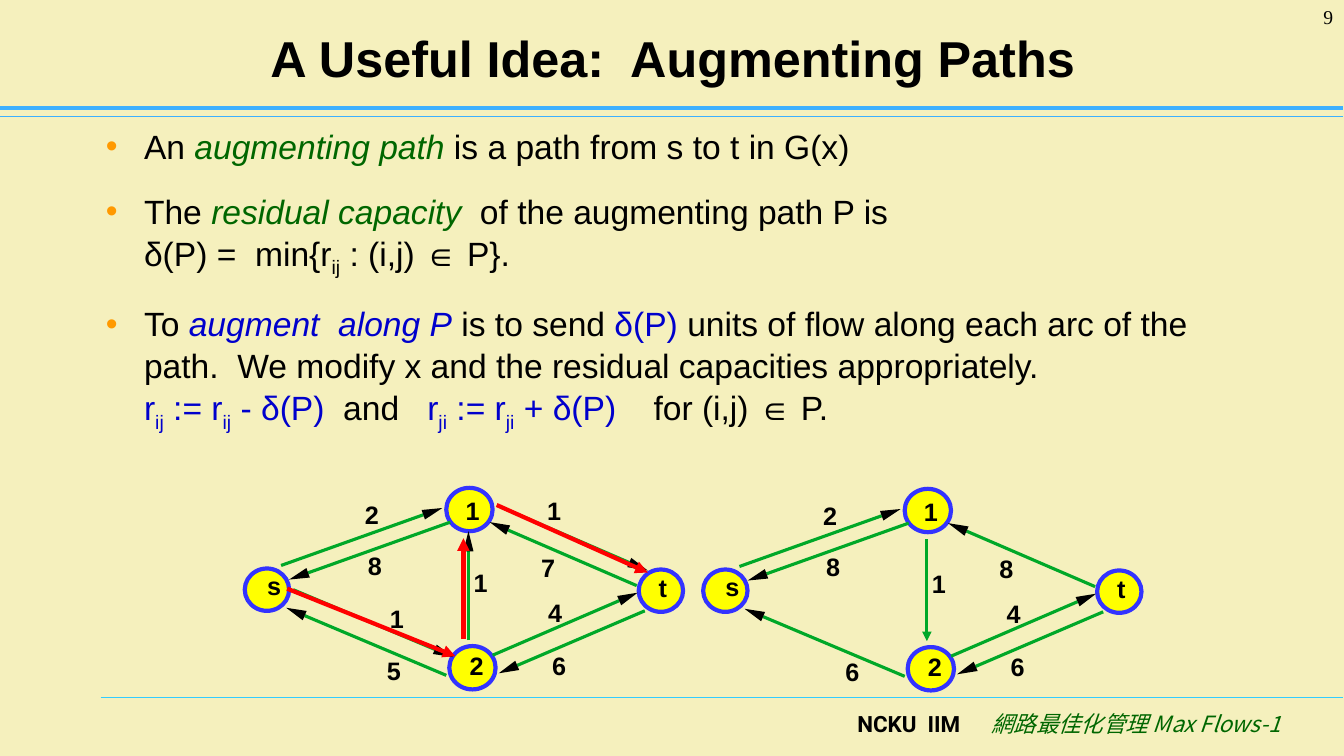
from math import hypot
from lxml.etree import SubElement
from pptx import Presentation
from pptx.dml.color import RGBColor
from pptx.enum.shapes import MSO_CONNECTOR, MSO_SHAPE
from pptx.enum.text import MSO_ANCHOR, MSO_AUTO_SIZE, PP_ALIGN
from pptx.oxml.ns import qn
from pptx.util import Inches, Pt

GREEN, BLUE, RED, ARC = "006600", "0000CC", "FF0000", "00A828"
color = RGBColor.from_string


def write(para, text, size=24, face="Arial", ink="000000", bold=False, slant=False, base=0):
    """Append text to a paragraph; a newline becomes a line break."""
    for i, part in enumerate(text.split("\n")):
        if i:
            para.add_line_break()
            SubElement(para._p[-1], qn("a:rPr"), sz=str(size * 100))
        if not part:
            continue
        run = para.add_run()
        run.text = part
        font = run.font
        font.size, font.name, font.bold, font.italic = Pt(size), face, bold, slant
        font.color.rgb = color(ink)
        SubElement(run._r.rPr, qn("a:ea"), typeface=face)
        if base:
            run._r.rPr.set("baseline", str(base * 1000))


def line(shapes, start, end, ink, width, arrow=False):
    link = shapes.add_connector(MSO_CONNECTOR.STRAIGHT, *map(Inches, (*start, *end)))
    link.line.color.rgb = color(ink)
    link.line.width = Pt(width)
    if arrow:
        SubElement(link.line._get_or_add_ln(), qn("a:tailEnd"), type="triangle")
    SubElement(link._element.spPr, qn("a:effectLst"))


deck = Presentation()
deck.slide_width, deck.slide_height = Inches(13.34), Inches(7.5)
slide = deck.slides.add_slide(deck.slide_layouts[1])
slide.background.fill.solid()
slide.background.fill.fore_color.rgb = color("F5F0BD")

# Rules above the body and the footer
line(slide.shapes, (1, 6.92), (13.33, 6.92), "33CCFF", 0.75)
line(slide.shapes, (0, 1.16), (13.33, 1.16), "3DB0FF", 0.75)
line(slide.shapes, (0, 1.07), (13.33, 1.07), "3DB0FF", 2.5)

# Title
title = slide.shapes.title
title.left, title.top, title.width, title.height = map(Inches, (0.68, 0.13, 12, 0.87))
title.text_frame.vertical_anchor = MSO_ANCHOR.MIDDLE
title.text_frame.auto_size = MSO_AUTO_SIZE.NONE
head = title.text_frame.paragraphs[0]
head.alignment = PP_ALIGN.CENTER
write(head, "A Useful Idea:  Augmenting Paths", size=36, bold=True)

# Bullet list
green, blue = dict(ink=GREEN, slant=True), dict(ink=BLUE)
plain, sub, low = {}, dict(base=-25), dict(ink=BLUE, base=-25)
points = [
    [("An ", plain), ("augmenting path", green), (" is a path from s to t in G(x)", plain)],
    [("The ", plain), ("residual capacity", green),
     ("  of the augmenting path P is \nδ(P) =  min{r", plain), ("ij", sub),
     (" : (i,j) ∈ P}.", plain)],
    [("To ", plain), ("augment  along P", dict(ink=BLUE, slant=True)),
     (" is to send ", plain), ("δ(P)", blue),
     (" units of flow along each arc of the path.  We modify x and the residual "
      "capacities appropriately.\n", plain),
     ("r", blue), ("ij", low), (" := r", blue), ("ij", low), (" - δ(P)", blue),
     ("  and   ", plain),
     ("r", blue), ("ji", low), (" := r", blue), ("ji", low), (" + δ(P)", blue),
     ("    for (i,j) ∈ P.", plain)],
]
body = slide.placeholders[1]
body.left, body.top, body.width, body.height = map(Inches, (0.95, 1.18, 11.67, 3.7))
frame = body.text_frame
frame.auto_size = MSO_AUTO_SIZE.NONE
for i, point in enumerate(points):
    para = frame.add_paragraph() if i else frame.paragraphs[0]
    para.space_before, para.space_after = Pt(6 if i else 0), Pt(10.5)
    para.line_spacing = 1.04
    props = para._p.get_or_add_pPr()
    props.set("marL", str(Inches(0.38)))
    props.set("indent", str(-Inches(0.38)))
    SubElement(SubElement(props, qn("a:buClr")), qn("a:srgbClr"), val="FF9900")
    SubElement(props, qn("a:buFont"), typeface="Arial")
    SubElement(props, qn("a:buChar"), char="•")
    for text, style in point:
        write(para, text, **style)

# Page number and footer, each set flush right
for spot, text, style in [
    ((12.22, 0, 1.11, 0.5), "9", dict(size=14, face="Times New Roman")),
    ((7.63, 7, 2, 0.5), "NCKU  IIM", dict(size=16, face="Roboto", bold=True)),
    ((9.31, 7, 3.5, 0.5), "網路最佳化管理 Max Flows-1",
     dict(size=16, face="Noto Sans CJK SC", ink=GREEN, slant=True)),
]:
    frame = slide.shapes.add_textbox(*map(Inches, spot)).text_frame
    frame.word_wrap = True
    frame.paragraphs[0].alignment = PP_ALIGN.RIGHT
    write(frame.paragraphs[0], text, **style)

# Node: name, oval, label corner
nodes = [
    ("s", (2.43, 5.64, 0.44, 0.42), (2.65, 5.66)),
    ("1", (4.43, 4.84, 0.46, 0.43), (4.62, 4.91)),
    ("2", (4.46, 6.41, 0.46, 0.43), (4.66, 6.45)),
    ("t", (6.34, 5.65, 0.44, 0.42), (6.51, 5.68)),
]
# Arc: start, tip, label corner, capacity before and after augmenting
arcs = [
    ((2.79, 5.61), (4.39, 5.04), (3.62, 4.95), "2", "2"),
    ((4.47, 5.18), (2.87, 5.75), (3.65, 5.46), "8", "8"),
    ((2.91, 5.85), (4.5, 6.52), (3.87, 5.99), "1", ""),
    ((4.43, 6.7), (2.84, 6.03), (3.84, 6.5), "5", "6"),
    ((4.97, 5.03), (6.43, 5.66), (5.43, 4.91), "1", ""),
    ((6.32, 5.81), (4.86, 5.18), (5.37, 5.48), "7", "8"),
    ((4.89, 6.5), (6.33, 5.88), (5.44, 5.93), "4", "4"),
    ((6.4, 6.06), (4.95, 6.68), (5.48, 6.45), "6", "6"),
    ((4.65, 6.35), (4.65, 5.27), (4.7, 5.63), "1", ""),
]
LONG, HALF = 0.2, 0.05  # arrowhead length and half width
for step, (dx, dy) in enumerate([(0, 0), (4.55, 0.01)]):
    net = slide.shapes.add_group_shape().shapes
    tags = []
    for name, (x, y, w, h), (tx, ty) in nodes:
        oval = net.add_shape(MSO_SHAPE.OVAL, *map(Inches, (x + dx, y + dy, w, h)))
        oval.shadow.inherit = False
        oval.fill.solid()
        oval.fill.fore_color.rgb = color("FFFF00")
        oval.line.color.rgb = color("3333FF")
        oval.line.width = Pt(3)
        tags.append((name, tx, ty))
    for (x, y), (tipx, tipy), spot, *caps in arcs:
        if not caps[step]:
            continue
        x, y, tipx, tipy = x + dx, y + dy, tipx + dx, tipy + dy
        size = hypot(tipx - x, tipy - y)
        ux, uy = (tipx - x) / size, (tipy - y) / size
        bx, by = tipx - LONG * ux, tipy - LONG * uy
        line(net, (x, y), (bx, by), ARC, 2.25)
        ends = [(bx - s * HALF * uy, by + s * HALF * ux) for s in (1, -1)]
        pen = net.build_freeform(Inches(tipx), Inches(tipy))
        pen.add_line_segments([tuple(map(Inches, end)) for end in ends])
        tip = pen.convert_to_shape()
        tip.shadow.inherit = False
        tip.fill.solid()
        tip.fill.fore_color.rgb = color("000000")
        tip.line.fill.background()
        tags.append((caps[step], *spot))
    if step:
        line(net, (9.2, 5.35), (9.2, 6.36), ARC, 2.25, arrow=True)
        tags.append(("1", 4.7, 5.63))
    for text, x, y in tags:
        frame = net.add_textbox(*map(Inches, (x + dx, y + dy, 0.14, 0.3))).text_frame
        frame.margin_left = frame.margin_right = frame.margin_top = frame.margin_bottom = 0
        frame.word_wrap = False
        frame.paragraphs[0].alignment = PP_ALIGN.CENTER
        write(frame.paragraphs[0], text, size=18, bold=True)

# Augmenting path s-2-1-t
for start, end in [((2.85, 5.84), (4.52, 6.51)), ((4.6, 6.34), (4.6, 5.34)),
                   ((4.93, 5.01), (6.43, 5.68))]:
    line(slide.shapes, start, end, RED, 3, arrow=True)

deck.save("out.pptx")
